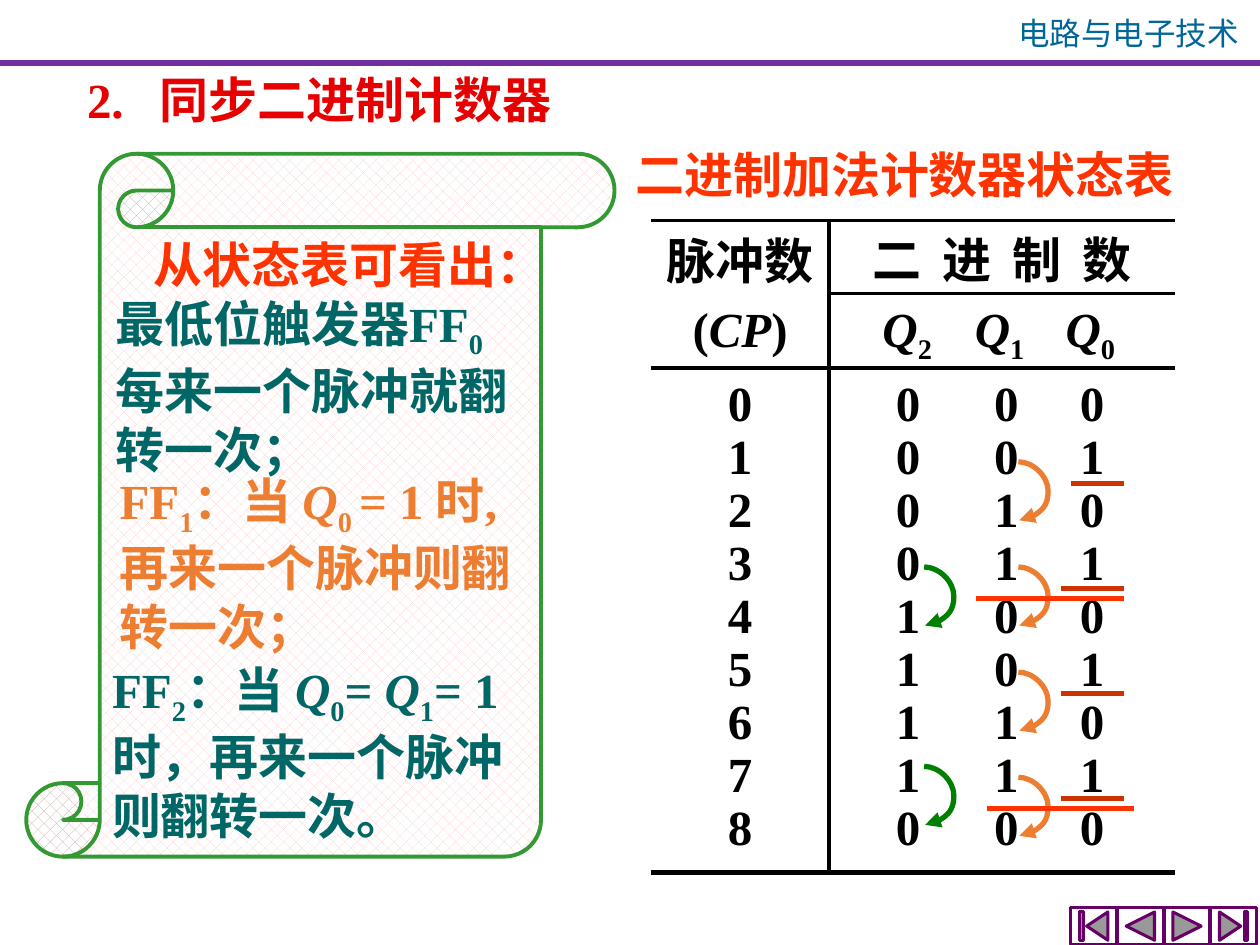
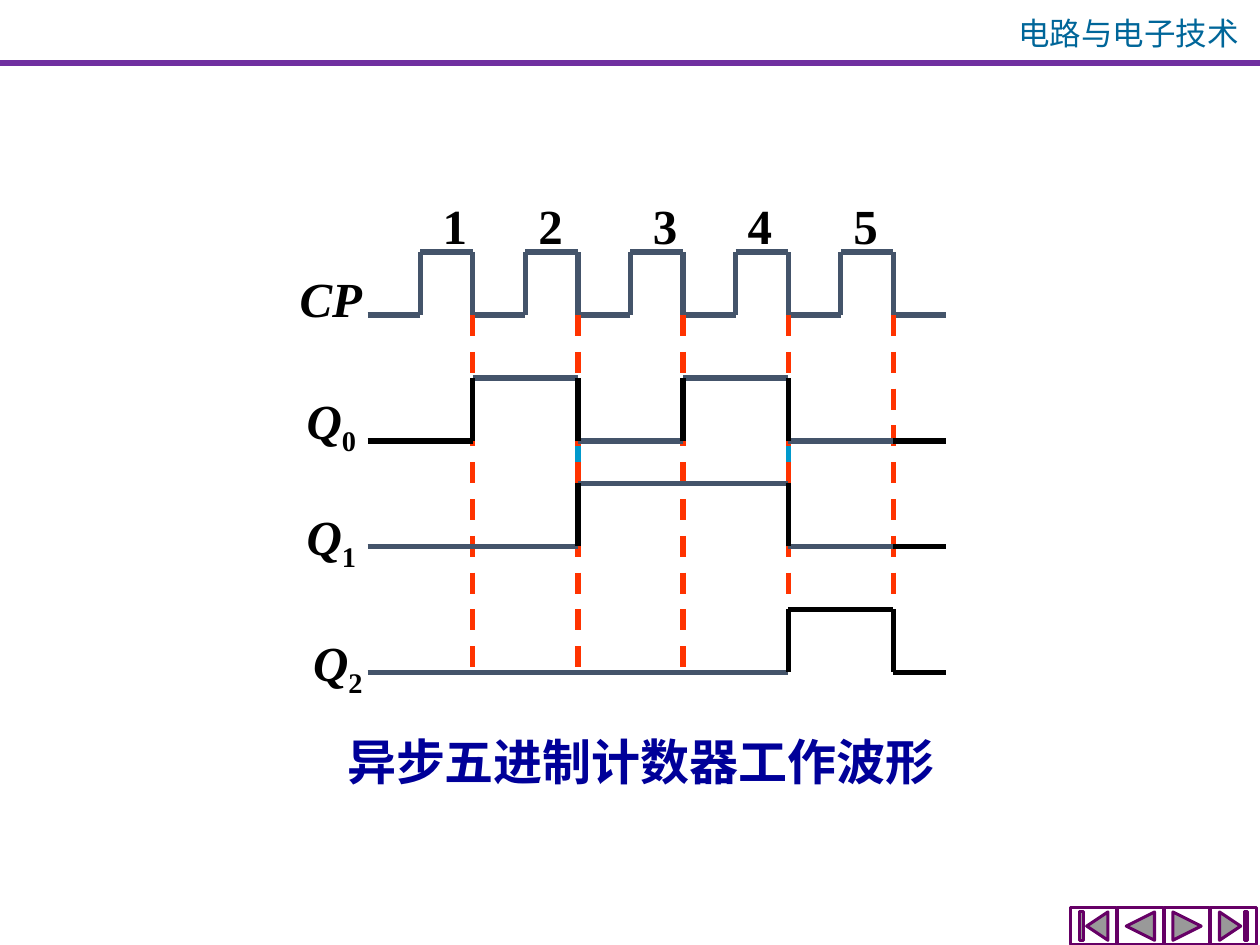
from dataclasses import dataclass

from lxml import etree
from pptx import Presentation
from pptx.dml.color import RGBColor
from pptx.enum import dml, shapes, text
from pptx.oxml.ns import qn
from pptx.util import Cm, Pt


@dataclass(frozen=True)
class Theme:
    black: str = "000000"
    white: str = "FFFFFF"
    header: str = "006699"
    rule: str = "7030A0"
    button: str = "660066"
    title: str = "E60000"
    red: str = "FF3300"
    brick: str = "CC3300"
    orange: str = "ED7D31"
    teal: str = "006666"
    green: str = "008000"
    scroll: str = "339933"
    hatch: str = "FFCCCC"
    navy: str = "000099"
    slate: str = "44546A"
    blue: str = "0099CC"
    serif: str = "Times New Roman"
    sans: str = "Calibri"
    cjk: str = "Noto Sans CJK SC"
    text_size: int = 28
    header_size: int = 18


T = Theme()
LEFT, CENTER = text.PP_ALIGN.LEFT, text.PP_ALIGN.CENTER
TOP, MIDDLE, BOTTOM = text.MSO_ANCHOR.TOP, text.MSO_ANCHOR.MIDDLE, text.MSO_ANCHOR.BOTTOM
NO_TABLE_STYLE = "{2D5ABB26-0587-4C30-8999-92F81FD0307C}"


def rgb(color):
    return RGBColor.from_string(color)


def add_runs(p, runs, color=T.black, size=T.text_size, font=T.serif, bold=True, spc=None):
    """Add (text, style) runs; style is "" for plain, "i" italic, "s" subscript."""
    for content, style in runs:
        r = p.add_run()
        r.text = content
        r.font.size, r.font.bold, r.font.italic = Pt(size), bold, style == "i"
        r.font.color.rgb = rgb(color)
        r.font.name = font
        rpr = r._r.get_or_add_rPr()
        etree.SubElement(rpr, qn("a:ea")).set("typeface", T.cjk)
        if style == "s":
            rpr.set("baseline", "-25000")
        if spc:
            rpr.set("spc", str(spc))


def fill_frame(sp, runs, align=CENTER, anchor=MIDDLE, wrap=False, tab=None, **style):
    tf = sp.text_frame
    tf.word_wrap, tf.vertical_anchor = wrap, anchor
    tf.auto_size = text.MSO_AUTO_SIZE.NONE
    p = tf.paragraphs[0]
    p.alignment = align
    p.space_before = Pt(0)
    if tab:
        tabs = etree.SubElement(p._p.get_or_add_pPr(), qn("a:tabLst"))
        etree.SubElement(tabs, qn("a:tab"), pos=str(Cm(tab)), algn="l")
    add_runs(p, runs, **style)


def add_text(s, x, y, w, h, runs, **style):
    fill_frame(s.shapes.add_textbox(Cm(x), Cm(y), Cm(w), Cm(h)), runs, **style)


def set_title(s, x, y, w, h, runs, **style):
    sp = s.shapes.title
    sp.left, sp.top, sp.width, sp.height = Cm(x), Cm(y), Cm(w), Cm(h)
    fill_frame(sp, runs, **style)


def add_line(s, x1, y1, x2, y2, color, width=3, dashed=False, bulge=None):
    """Draw a straight line, or an arrow bowed to the right by bulge cm."""
    kind = shapes.MSO_CONNECTOR.CURVE if bulge else shapes.MSO_CONNECTOR.STRAIGHT
    ln = s.shapes.add_connector(kind, Cm(x1), Cm(y1), Cm(x2), Cm(y2))
    ln.line.color.rgb = rgb(color)
    ln.line.width = Pt(width)
    if dashed:
        ln.line.dash_style = dml.MSO_LINE.DASH
    sppr = ln._element.spPr
    if bulge:
        geom = sppr.find(qn("a:prstGeom"))
        guides = geom.find(qn("a:avLst"))
        if guides is None:
            guides = etree.SubElement(geom, qn("a:avLst"))
        ratio = round(bulge / (x2 - x1) * 100000)
        etree.SubElement(guides, qn("a:gd"), name="adj1", fmla=f"val {ratio}")
        etree.SubElement(sppr.find(qn("a:ln")), qn("a:tailEnd"), type="triangle")
    etree.SubElement(sppr, qn("a:effectLst"))


def add_preset(s, kind, x, y, w, h, line, width):
    sp = s.shapes.add_shape(kind, Cm(x), Cm(y), Cm(w), Cm(h))
    sp.shadow.inherit = False
    sp.fill.solid()
    sp.fill.fore_color.rgb = rgb(T.white)
    sp.line.color.rgb = rgb(line)
    sp.line.width = Pt(width)
    return sp


def add_slide(prs):
    """Add a slide with the course header, double rule and navigation buttons."""
    s = prs.slides.add_slide(prs.slide_layouts[5])
    add_text(s, 20.09, 0.15, 5.31, 1.02, [("电路与电子技术", "")], anchor=TOP,
             color=T.header, size=T.header_size, font=T.cjk, bold=False)
    for y in (1.24, 1.3):
        add_line(s, 0, y, 25.4, y, T.rule, 1.5)
    kinds = shapes.MSO_SHAPE
    buttons = (kinds.ACTION_BUTTON_BEGINNING, kinds.ACTION_BUTTON_BACK_OR_PREVIOUS,
               kinds.ACTION_BUTTON_FORWARD_OR_NEXT, kinds.ACTION_BUTTON_END)
    for i, kind in enumerate(buttons):
        add_preset(s, kind, 21.59 + 0.94 * i, 18.29, 0.92, 0.76, T.button, 1.75)
    return s


def set_borders(cell, **widths):
    """Set all four borders from L, R, T and B widths; a width of 0 hides one."""
    tcpr = cell._tc.get_or_add_tcPr()
    for i, side in enumerate("LRTB"):
        width = widths[side]
        ln = etree.Element(qn(f"a:ln{side}"), w=str(Pt(width)))
        if width:
            fill = etree.SubElement(ln, qn("a:solidFill"))
            etree.SubElement(fill, qn("a:srgbClr"), val=T.black)
        else:
            etree.SubElement(ln, qn("a:noFill"))
        tcpr.insert(i, ln)


def fill_cell(cell, runs, align=LEFT, left=0, top=0, anchor=TOP, spacing=None, **style):
    cell.vertical_anchor = anchor
    cell.margin_left, cell.margin_top = Cm(left), Cm(top)
    p = cell.text_frame.paragraphs[0]
    p.alignment = align
    if spacing:
        p.line_spacing = spacing
    add_runs(p, runs, **style)


def add_state_table(s):
    widths = (3.58, 2.6, 1.9, 2.48)
    heights = [1.47, 1.5, 1.35] + [1.07] * 7 + [1.33]
    header_indents = (1.08, 0.34, 0.27)
    digit_indents = (1.35, 0.73, 0.56)
    tbl = s.shapes.add_table(len(heights), len(widths), Cm(13.13), Cm(4.45),
                             Cm(sum(widths)), Cm(sum(heights))).table
    tbl.first_row = tbl.horz_banding = False
    tbl._tbl.tblPr.find(qn("a:tableStyleId")).text = NO_TABLE_STYLE
    for col, width in zip(tbl.columns, widths):
        col.width = Cm(width)
    for row, height in zip(tbl.rows, heights):
        row.height = Cm(height)

    last = len(heights)

    def rule_above(r, c):
        if r == last:
            return 3
        return 2.25 if r in (0, 2) or (r == 1 and c > 0) else 0

    def rule_before(c):
        return 2.25 if c == 1 else 0

    for r in range(last):
        for c in range(len(widths)):
            cell = tbl.cell(r, c)
            cell.fill.background()
            cell.margin_left = cell.margin_right = 0
            cell.margin_top = cell.margin_bottom = 0
            set_borders(cell, L=rule_before(c), R=rule_before(c + 1),
                        T=rule_above(r, c), B=rule_above(r + 1, c))

    fill_cell(tbl.cell(0, 0), [("脉冲数", "")], CENTER, anchor=BOTTOM)
    fill_cell(tbl.cell(1, 0), [("(", ""), ("CP", "i"), (")", "")], CENTER, top=0.2)
    tbl.cell(0, 1).merge(tbl.cell(0, 3))
    fill_cell(tbl.cell(0, 1), [("二 进 制 数", "")], CENTER, anchor=MIDDLE, spc=280)
    for c, indent in enumerate(header_indents, 1):
        fill_cell(tbl.cell(1, c), [("Q", "i"), (str(3 - c), "s")], left=indent, top=0.2)

    for pulse in range(9):
        r = pulse + 2
        top = 0.28 if pulse == 0 else 0
        fill_cell(tbl.cell(r, 0), [(str(pulse), "")], CENTER, top=top, spacing=0.9)
        for c, (bit, indent) in enumerate(zip(f"{pulse % 8:03b}", digit_indents), 1):
            fill_cell(tbl.cell(r, c), [(bit, "")], left=indent, top=top, spacing=0.9)


def mark_carries(s):
    """Mark the rows whose ones make the next higher bit flip."""
    step = 2.12
    for i in range(4):
        y = 9.31 + step * i
        add_line(s, 20.53, y, 20.55, y + 1.18, T.orange, bulge=0.6)
        y = 9.74 + step * i
        add_line(s, 21.59 if i == 0 else 21.38, y, 22.66, y, T.brick)
    for y in (11.43, 15.45):
        add_line(s, 18.63, y, 18.65, y + 1.18, T.green, bulge=0.6)
    for x1, x2, y in ((19.68, 22.66, 12.07), (19.9, 22.86, 16.3)):
        add_line(s, x1, y, x2, y, T.red)


def add_scroll(s):
    sp = add_preset(s, shapes.MSO_SHAPE.VERTICAL_SCROLL, 0.53, 3.1, 11.86, 14.17,
                    T.scroll, 2.25)
    sp.fill.patterned()
    sp.fill.pattern = dml.MSO_PATTERN.PERCENT_30
    sp.fill.fore_color.rgb = rgb(T.hatch)
    sp.fill.back_color.rgb = rgb(T.white)
    add_text(s, 2.82, 4.6, 8.46, 1.45, [("从状态表可看出：", "")], color=T.red)
    notes = (
        (2.08, 5.87, 8.46, T.teal,
         [("最低位触发器FF", ""), ("0", "s"), ("每来一个脉冲就翻转一次；", "")]),
        (2.16, 9.45, 8.46, T.orange,
         [("FF", ""), ("1", "s"), ("：当 ", ""), ("Q", "i"), ("0 ", "s"),
          ("= 1 时,再来一个脉冲则翻转一次；", "")]),
        (2.01, 13.26, 8.97, T.teal,
         [("FF", ""), ("2", "s"), ("：当 ", ""), ("Q", "i"), ("0", "s"), ("= ", ""),
          ("Q", "i"), ("1", "s"), ("= 1时，再来一个脉冲则翻转一次。", "")]),
    )
    for x, y, w, color, runs in notes:
        add_text(s, x, y, w, 3.81, runs, align=LEFT, wrap=True, color=color)


def build_state_slide(prs):
    s = add_slide(prs)
    set_title(s, 1.5, 1.27, 11.99, 1.45, [("2.\t同步二进制计数器", "")], align=LEFT,
              wrap=True, tab=1.47, color=T.title)
    add_text(s, 12.52, 2.79, 11.43, 1.45, [("二进制加法计数器状态表", "")], color=T.red)
    add_state_table(s)
    mark_carries(s)
    add_scroll(s)


def wave_x(half):
    """Horizontal place of a clock half-period."""
    return 7.41 + 1.06 * half


def add_wave(s, low, levels, edge_color):
    """Draw (start, end, high, color) levels and the edges between them."""
    high_y = low - 1.27
    for i, (start, end, high, color) in enumerate(levels):
        y = high_y if high else low
        add_line(s, wave_x(start), y, wave_x(end), y, color)
        if i and high != levels[i - 1][2]:
            add_line(s, wave_x(start), low, wave_x(start), high_y, edge_color)


def build_waveform_slide(prs):
    s = add_slide(prs)
    set_title(s, 5.51, 14.61, 14.81, 1.45, [("异步五进制计数器工作波形", "")],
              anchor=TOP, color=T.navy, font=T.sans)
    for i, x in enumerate((8.66, 10.59, 12.9, 14.81, 16.94), 1):
        add_text(s, x, 3.81, 1.02, 1.45, [(str(i), "")])
    labels = ((5.72, 5.28, 1.9, [("CP", "i")]),
              (5.51, 7.82, 2.34, [("Q", "i"), ("0", "s")]),
              (5.51, 10.16, 2.34, [("Q", "i"), ("1", "s")]),
              (5.92, 12.7, 1.78, [("Q", "i"), ("2", "s")]))
    for x, y, w, runs in labels:
        add_text(s, x, y, w, 1.45, runs)

    add_wave(s, 6.35, [(n, n + 1, n % 2, T.slate) for n in range(11)], T.slate)
    for half in (4, 8):
        add_line(s, wave_x(half), 8.89, wave_x(half), 10.8, T.blue, dashed=True)
    for half in range(2, 11, 2):
        add_line(s, wave_x(half), 6.35, wave_x(half), 13.76, T.red, dashed=True)
    tail = (10, 11, 0, T.black)
    add_wave(s, 8.89, [(0, 2, 0, T.black), (2, 4, 1, T.slate), (4, 6, 0, T.slate),
                       (6, 8, 1, T.slate), (8, 10, 0, T.slate), tail], T.black)
    add_wave(s, 11.01, [(0, 4, 0, T.slate), (4, 8, 1, T.slate), (8, 10, 0, T.slate),
                        tail], T.black)
    add_wave(s, 13.55, [(0, 8, 0, T.slate), (8, 10, 1, T.black), tail], T.black)


def main():
    prs = Presentation()
    prs.slide_width, prs.slide_height = Cm(25.4), Cm(19.05)
    build_state_slide(prs)
    build_waveform_slide(prs)
    prs.save("out.pptx")


if __name__ == "__main__":
    main()
